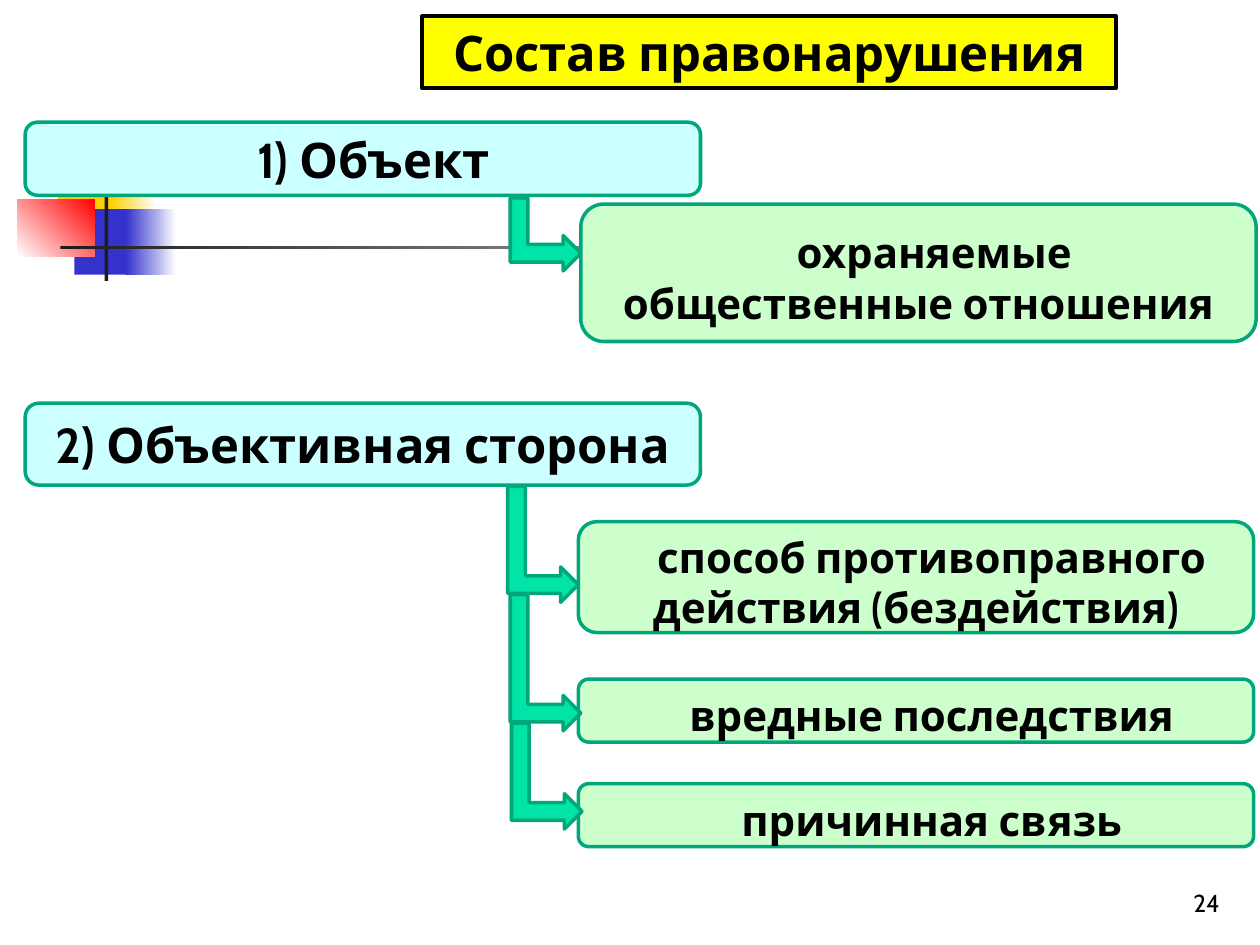
from dataclasses import dataclass

from pptx import Presentation
from pptx.dml.color import RGBColor
from pptx.enum.shapes import MSO_SHAPE
from pptx.enum.text import MSO_ANCHOR, PP_ALIGN
from pptx.util import Inches, Pt


@dataclass(frozen=True)
class Theme:
    font: str = "Cabin"
    ink: str = "000000"
    title_fill: str = "FFFF00"
    heading_fill: str = "CCFFFF"
    item_fill: str = "CCFFCC"
    arrow_fill: str = "00E4A8"
    outline: str = "00A77A"
    gold: str = "FFCF01"
    blue: str = "3333CC"
    red: str = "FF0000"
    dark: str = "1C1C1C"
    white: str = "FFFFFF"
    large: int = 28
    medium: int = 24
    small: int = 14


THEME = Theme()

# Content
TITLE = "Состав правонарушения"
PAGE_NUMBER = "24"
# text, top, height, first-line indent
HEADINGS = [
    ("1) Объект", 0.97, 0.58, 0.17),
    ("2) Объективная сторона", 3.2, 0.65, -0.1),
]
# text, left, top, height
ITEMS = [
    ("охраняемые общественные отношения", 4.61, 1.62, 1.09),
    ("способ противоправного действия (бездействия)", 4.59, 4.14, 0.88),
    ("вредные последствия", 4.59, 5.39, 0.5),
    ("причинная связь", 4.59, 6.22, 0.5),
]
# left of stem, top of stem, height of the tip
ARROWS = [(4.05, 1.57, 2.01), (4.03, 3.86, 4.64),
          (4.05, 4.72, 5.66), (4.06, 5.74, 6.44)]
# left, top, width, height, colours from start to end, angle
ORNAMENT = [
    (0.46, 1.2, 0.48, 0.52, [THEME.gold], 0),
    (0.88, 1.2, 0.36, 0.52, [THEME.gold, THEME.white], 0),
    (0.59, 1.66, 0.46, 0.52, [THEME.blue], 0),
    (1, 1.66, 0.4, 0.52, [THEME.blue, THEME.white], 0),
    (0.14, 1.58, 0.61, 0.46, [THEME.white, THEME.red], 45),
    (0.83, 1.08, 0.03, 1.15, [THEME.dark], 0),
    (0.48, 1.95, 9, 0.03, [THEME.dark, THEME.white], 0),
]
BOX_WIDTH = 5.36
HEADING_LEFT = 0.2
ITEM_INDENT = 0.25
STEM, HEAD_START, TIP = 0.14, 0.42, 0.56
HALF_SHAFT, HALF_HEAD = 0.07, 0.14


def paint(shape, fill, line=None, width=2):
    shape.fill.solid()
    shape.fill.fore_color.rgb = RGBColor.from_string(fill)
    if line:
        shape.line.color.rgb = RGBColor.from_string(line)
        shape.line.width = Pt(width)
    else:
        shape.line.fill.background()


def place(shape, *lengths):
    shape.left, shape.top, shape.width, shape.height = map(Inches, lengths)


def write(shape, text, size, bold=True, align=PP_ALIGN.CENTER,
          anchor=MSO_ANCHOR.MIDDLE, indent=0):
    frame = shape.text_frame
    frame.word_wrap = True
    frame.vertical_anchor = anchor
    para = frame.paragraphs[0]
    para.text = text
    para.alignment = align
    para._p.get_or_add_pPr().set("indent", str(Inches(indent)))
    para.font.name = THEME.font
    para.font.size = Pt(size)
    para.font.bold = bold
    para.font.color.rgb = RGBColor.from_string(THEME.ink)


def add_box(page, kind, *lengths):
    box = page.shapes.add_shape(kind, *map(Inches, lengths))
    box.shadow.inherit = False
    return box


def add_ornament(page):
    for *lengths, colours, angle in ORNAMENT:
        block = add_box(page, MSO_SHAPE.RECTANGLE, *lengths)
        paint(block, colours[0])
        if len(colours) > 1:
            block.fill.gradient()
            block.fill.gradient_angle = angle
            for stop, colour in zip(block.fill.gradient_stops, colours):
                stop.color.rgb = RGBColor.from_string(colour)


def add_label(page, text, lengths, fill, size, indent):
    box = add_box(page, MSO_SHAPE.ROUNDED_RECTANGLE, *lengths)
    paint(box, fill, THEME.outline)
    write(box, text, size, indent=indent)
    return box


def add_elbow_arrow(page, left, top, tip):
    outline = [
        (left, top), (left + STEM, top), (left + STEM, tip - HALF_SHAFT),
        (left + HEAD_START, tip - HALF_SHAFT),
        (left + HEAD_START, tip - HALF_HEAD), (left + TIP, tip),
        (left + HEAD_START, tip + HALF_HEAD),
        (left + HEAD_START, tip + HALF_SHAFT), (left, tip + HALF_SHAFT),
    ]
    points = [(Inches(x), Inches(y)) for x, y in outline]
    builder = page.shapes.build_freeform(*points[0])
    builder.add_line_segments(points[1:], close=True)
    arrow = builder.convert_to_shape()
    arrow.shadow.inherit = False
    paint(arrow, THEME.arrow_fill, THEME.outline)


def main():
    deck = Presentation()
    deck.slide_width, deck.slide_height = Inches(10), Inches(7.5)
    page = deck.slides.add_slide(deck.slide_layouts[5])

    # Title and ornament
    title = page.shapes.title
    place(title, 3.35, 0.13, 5.51, 0.57)
    paint(title, THEME.title_fill, THEME.ink, 2.25)
    write(title, TITLE, THEME.large)
    add_ornament(page)

    # Page number
    number = page.shapes.add_textbox(*map(Inches, (7.7, 6.83, 2.08, 0.5)))
    write(number, PAGE_NUMBER, THEME.small, bold=False,
          align=PP_ALIGN.RIGHT, anchor=MSO_ANCHOR.BOTTOM)

    # Headings, their items and the arrows between them
    for text, top, height, indent in HEADINGS:
        add_label(page, text, (HEADING_LEFT, top, BOX_WIDTH, height),
                  THEME.heading_fill, THEME.large, indent)
    for text, left, top, height in ITEMS:
        box = add_label(page, text, (left, top, BOX_WIDTH, height),
                        THEME.item_fill, THEME.medium, ITEM_INDENT)
        box.text_frame.margin_top = Inches(0.12)
    for arrow in ARROWS:
        add_elbow_arrow(page, *arrow)

    deck.save("out.pptx")


if __name__ == "__main__":
    main()
